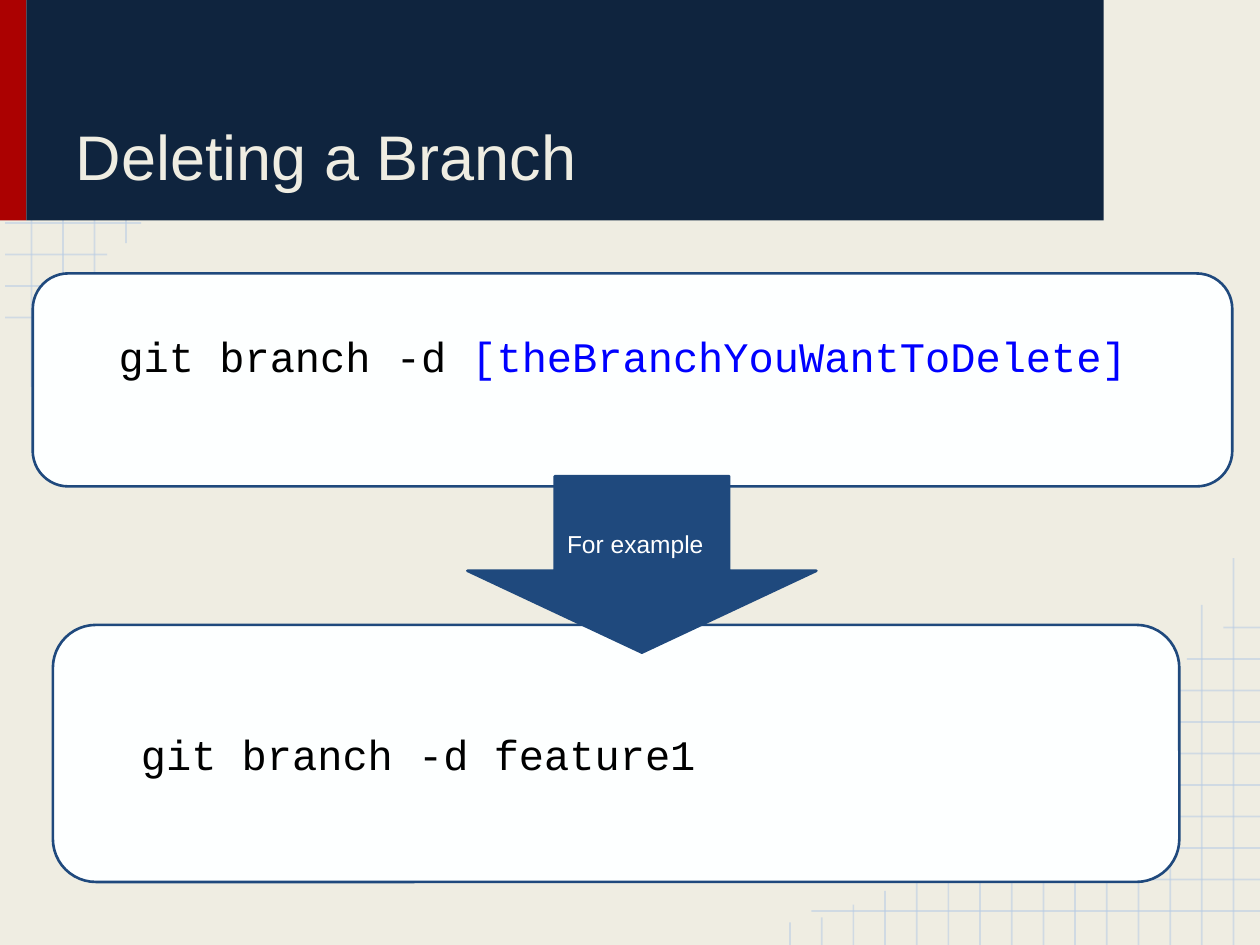
"""Build the slide on deleting a Git branch."""
import pptx
import pptx.util
import pptx.dml.color
import pptx.enum.shapes
import pptx.enum.text
import pptx.oxml.ns
from lxml import etree

Inches = pptx.util.Inches
Pt = pptx.util.Pt
SHAPE = pptx.enum.shapes.MSO_SHAPE
ANCHOR = pptx.enum.text.MSO_ANCHOR
qn = pptx.oxml.ns.qn

COLORS = {
    "paper": "EFEDE2", "grid": "B7CCE4", "red": "AB0101", "navy": "0F243E",
    "panel": "FDFFFF", "blue": "1F497D", "code": "000000",
    "argument": "0000FF", "white": "FFFFFF",
}
GRID_STEP = 0.25
LEFT_ROW_ENDS = [1.12, 0.85, 0.62, 0.32]
LEFT_COLUMN_ENDS = [3.07, 2.7, 2.21, 1.93]
RIGHT_ROW_STARTS = [6.44, 7.08, 7.63, 7.96, 8.37, 8.67, 8.92, 9.19, 9.42, 9.71]
RIGHT_COLUMN_STARTS = [4.43, 4.8, 5.29, 5.57, 5.78, 5.95, 6.19, 6.35,
                       6.54, 6.68, 6.86, 7.07, 7.18, 7.28, 7.32]


def rgb(name):
    return pptx.dml.color.RGBColor.from_string(COLORS[name])


def add_grid_line(page, x1, y1, x2, y2):
    line = page.shapes.add_connector(
        pptx.enum.shapes.MSO_CONNECTOR.STRAIGHT,
        Inches(x1), Inches(y1), Inches(x2), Inches(y2))
    line.line.width = Pt(1)
    line.line.color.rgb = rgb("grid")
    properties = line.element.spPr
    color = properties.find(".//" + qn("a:srgbClr"))
    etree.SubElement(color, qn("a:alpha"), val="54000")
    etree.SubElement(properties, qn("a:effectLst"))


def add_grids(page):
    for i, end in enumerate(LEFT_ROW_ENDS):
        y = 1.77 + i * GRID_STEP
        add_grid_line(page, 0.04, y, end, y)
    for i, end in enumerate(LEFT_COLUMN_ENDS):
        x = (i + 1) * GRID_STEP
        add_grid_line(page, x, end, x, 0)
    for i, start in enumerate(RIGHT_ROW_STARTS):
        y = 7.23 - i * GRID_STEP
        add_grid_line(page, 10, y, start, y)
    column_step = (9.79 - 6.27) / (len(RIGHT_COLUMN_STARTS) - 1)
    for i, start in enumerate(RIGHT_COLUMN_STARTS):
        x = 9.79 - i * column_step
        add_grid_line(page, x, start, x, 7.5)


def add_block(page, kind, place, fill, outline=None, adjustments=()):
    block = page.shapes.add_shape(kind, *map(Inches, place))
    block.shadow.inherit = False
    block.fill.solid()
    block.fill.fore_color.rgb = rgb(fill)
    if outline:
        block.line.color.rgb = rgb(outline)
        block.line.width = Pt(1.5)
    else:
        block.line.fill.background()
    for i, value in enumerate(adjustments):
        block.adjustments[i] = value
    return block


def write_text(box, spans, font, size, anchor=ANCHOR.MIDDLE, indent=0, bottom=0.1):
    frame = box.text_frame
    frame.word_wrap = True
    frame.auto_size = pptx.enum.text.MSO_AUTO_SIZE.NONE
    frame.vertical_anchor = anchor
    frame.margin_left = frame.margin_right = frame.margin_top = Inches(0.1)
    frame.margin_bottom = Inches(bottom)
    para = frame.paragraphs[0]
    para.alignment = pptx.enum.text.PP_ALIGN.LEFT
    if indent:
        para_properties = para._p.get_or_add_pPr()
        para_properties.set("marL", "0")
        para_properties.set("indent", str(Inches(indent)))
    for text, color in spans:
        span = para.add_run()
        span.text = text
        span.font.name = font
        span.font.size = Pt(size)
        span.font.color.rgb = rgb(color)


def add_command(page, place, spans, bottom=0.1):
    panel = add_block(page, SHAPE.ROUNDED_RECTANGLE, place, "panel", "blue", [0.167])
    write_text(panel, spans, "Courier New", 24, indent=0.5, bottom=bottom)


def place_title(page, text):
    title = page.shapes.title
    title.element.getparent().append(title.element)
    title.left, title.top, title.width, title.height = map(Inches, (0.5, 0.15, 8, 1.48))
    write_text(title, [(text, "paper")], "Arial", 36, ANCHOR.BOTTOM)


def main():
    deck = pptx.Presentation()
    deck.slide_width, deck.slide_height = Inches(10), Inches(7.5)
    page = deck.slides.add_slide(deck.slide_layouts.get_by_name("Title Only"))
    page.background.fill.solid()
    page.background.fill.fore_color.rgb = rgb("paper")

    add_grids(page)
    add_block(page, SHAPE.RECTANGLE, (0, -0.01, 0.21, 1.76), "red")
    add_block(page, SHAPE.RECTANGLE, (0.21, -0.01, 8.55, 1.76), "navy")
    add_command(page, (0.42, 4.96, 8.94, 2.04), [("git branch -d feature1", "code")])
    place_title(page, "Deleting a Branch")
    add_command(page, (0.26, 2.17, 9.52, 1.69),
                [("git branch -d ", "code"),
                 ("[theBranchYouWantToDelete]", "argument")], bottom=0.48)
    arrow = add_block(page, SHAPE.DOWN_ARROW, (3.71, 3.78, 2.77, 1.4),
                      "blue", "blue", [0.5, 0.464])
    write_text(arrow, [("For example", "white")], "Arial", 14)
    deck.save("out.pptx")


if __name__ == "__main__":
    main()
